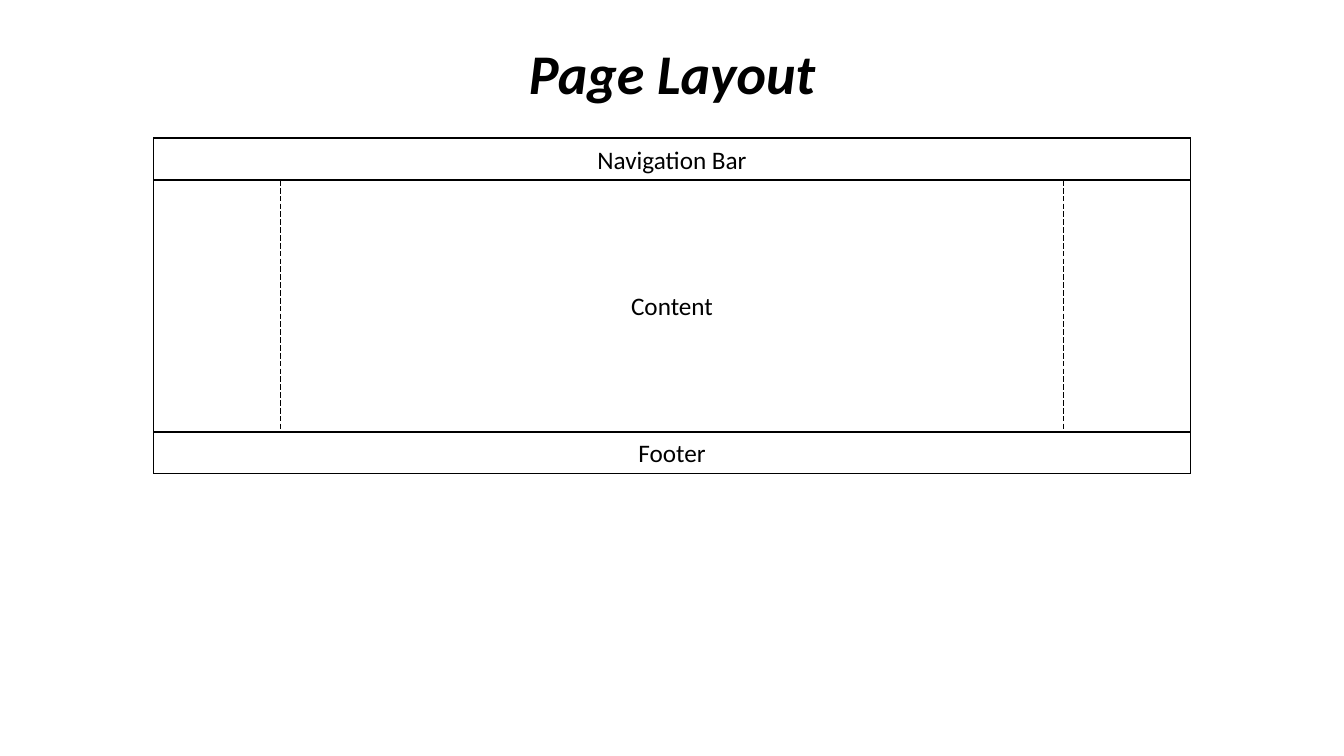
import pptx
import pptx.dml.color
import pptx.enum.dml
import pptx.enum.shapes
import pptx.enum.text
import pptx.util
from dataclasses import dataclass
from lxml import etree

# Content
TITLE = "Page Layout"
BANDS = [("Navigation Bar", 0), ("Footer", 7)]  # label, row of the page grid
CONTENT = "Content"

# Page grid, in inches
SLIDE_WIDTH, SLIDE_HEIGHT = 13.33, 7.5
PAGE_WIDTH, PAGE_HEIGHT, PAGE_TOP = 10.28, 3.33, 1.37
PAGE_LEFT = (SLIDE_WIDTH - PAGE_WIDTH) / 2
ROW_COUNT = 8
ROW_HEIGHT = PAGE_HEIGHT / ROW_COUNT
MARGIN_WIDTH = 1.26
TEXT_GAP = 0.12
TITLE_TOP, TITLE_HEIGHT = 0.33, 0.77
LABEL_HEIGHT = 0.4


@dataclass(frozen=True)
class Theme:
    font: str = "Calibri"
    ink: pptx.dml.color.RGBColor = pptx.dml.color.RGBColor(0, 0, 0)
    paper: pptx.dml.color.RGBColor = pptx.dml.color.RGBColor(255, 255, 255)
    title_size: int = 40
    label_size: int = 18
    frame_line: float = 1
    guide_line: float = 0.5


THEME = Theme()


def inches(*lengths):
    return [pptx.util.Inches(length) for length in lengths]


def write(shape, text, size, emphasis=None):
    paragraph = shape.text_frame.paragraphs[0]
    paragraph.alignment = pptx.enum.text.PP_ALIGN.CENTER
    run = paragraph.add_run()
    run.text = text
    run.font.name = THEME.font
    run.font.size = pptx.util.Pt(size)
    run.font.color.rgb = THEME.ink
    run.font.bold = run.font.italic = emphasis


def add_text(slide, box, text, size, emphasis=None):
    shape = slide.shapes.add_textbox(*inches(*box))
    shape.text_frame.word_wrap = True
    shape.text_frame.auto_size = pptx.enum.text.MSO_AUTO_SIZE.SHAPE_TO_FIT_TEXT
    write(shape, text, size, emphasis)


def add_frame(group, top, height):
    shape = group.shapes.add_shape(
        pptx.enum.shapes.MSO_SHAPE.RECTANGLE,
        *inches(PAGE_LEFT, top, PAGE_WIDTH, height))
    shape.shadow.inherit = False
    shape.fill.solid()
    shape.fill.fore_color.rgb = THEME.paper
    shape.line.color.rgb = THEME.ink
    shape.line.width = pptx.util.Pt(THEME.frame_line)
    shape.text_frame.vertical_anchor = pptx.enum.text.MSO_ANCHOR.MIDDLE
    return shape


def add_guide(group, x, top, bottom):
    guide = group.shapes.add_connector(
        pptx.enum.shapes.MSO_CONNECTOR.STRAIGHT, *inches(x, top, x, bottom))
    guide.line.color.rgb = THEME.ink
    guide.line.width = pptx.util.Pt(THEME.guide_line)
    guide.line.dash_style = pptx.enum.dml.MSO_LINE.LONG_DASH
    etree.SubElement(guide._element.spPr, pptx.oxml.ns.qn("a:effectLst"))


def main():
    presentation = pptx.Presentation()
    presentation.slide_width, presentation.slide_height = inches(SLIDE_WIDTH, SLIDE_HEIGHT)
    slide = presentation.slides.add_slide(presentation.slide_layouts[6])

    # Title
    add_text(slide, (0, TITLE_TOP, SLIDE_WIDTH, TITLE_HEIGHT),
             TITLE, THEME.title_size, emphasis=True)

    # Page frame with its bands
    page = slide.shapes.add_group_shape()
    add_frame(page, PAGE_TOP, PAGE_HEIGHT)
    for label, row in BANDS:
        band = add_frame(page, PAGE_TOP + row * ROW_HEIGHT, ROW_HEIGHT)
        write(band, label, THEME.label_size)

    # Margin guides between the bands
    body_top = PAGE_TOP + ROW_HEIGHT
    body_bottom = PAGE_TOP + PAGE_HEIGHT - ROW_HEIGHT
    body_left = PAGE_LEFT + MARGIN_WIDTH
    body_right = PAGE_LEFT + PAGE_WIDTH - MARGIN_WIDTH
    for x in (body_left, body_right):
        add_guide(page, x, body_top, body_bottom)

    # Content label, centred in the body
    add_text(slide, (body_left + TEXT_GAP, (body_top + body_bottom - LABEL_HEIGHT) / 2,
                     body_right - body_left - 2 * TEXT_GAP, LABEL_HEIGHT),
             CONTENT, THEME.label_size)

    presentation.save("out.pptx")


if __name__ == "__main__":
    main()
